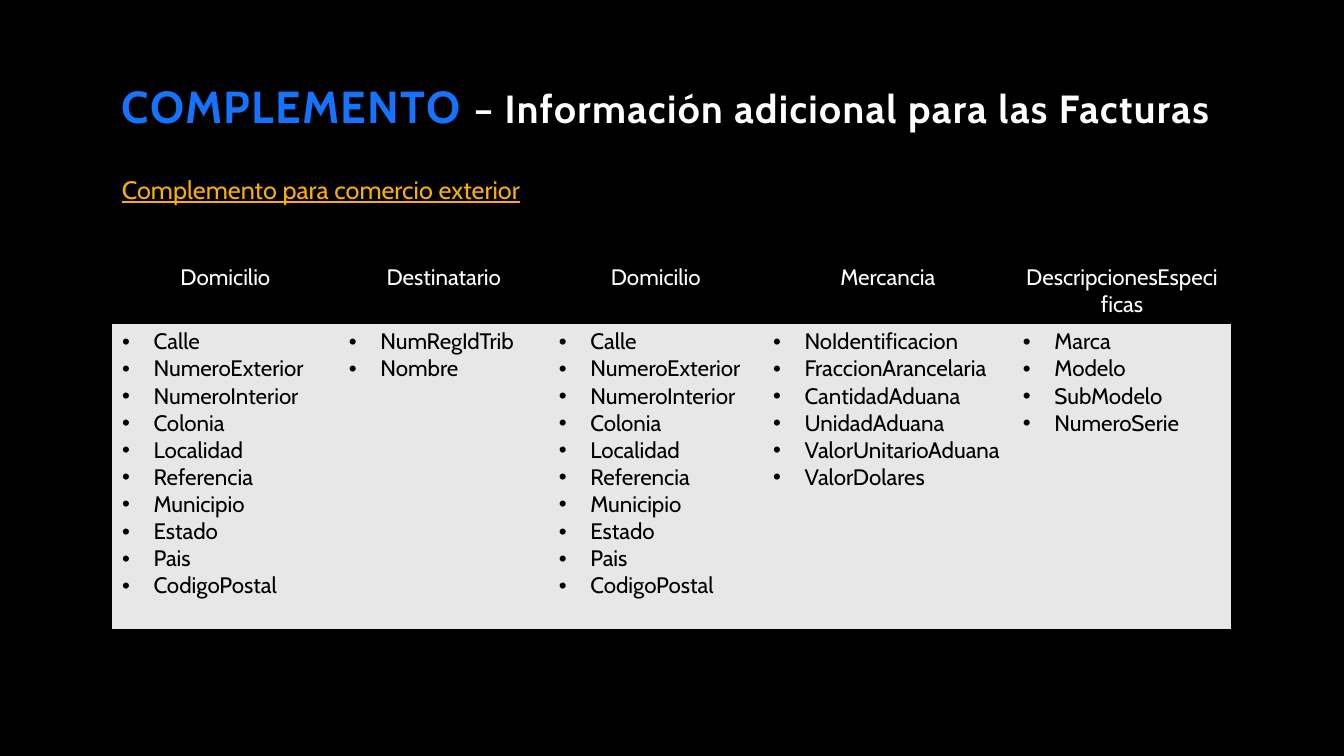
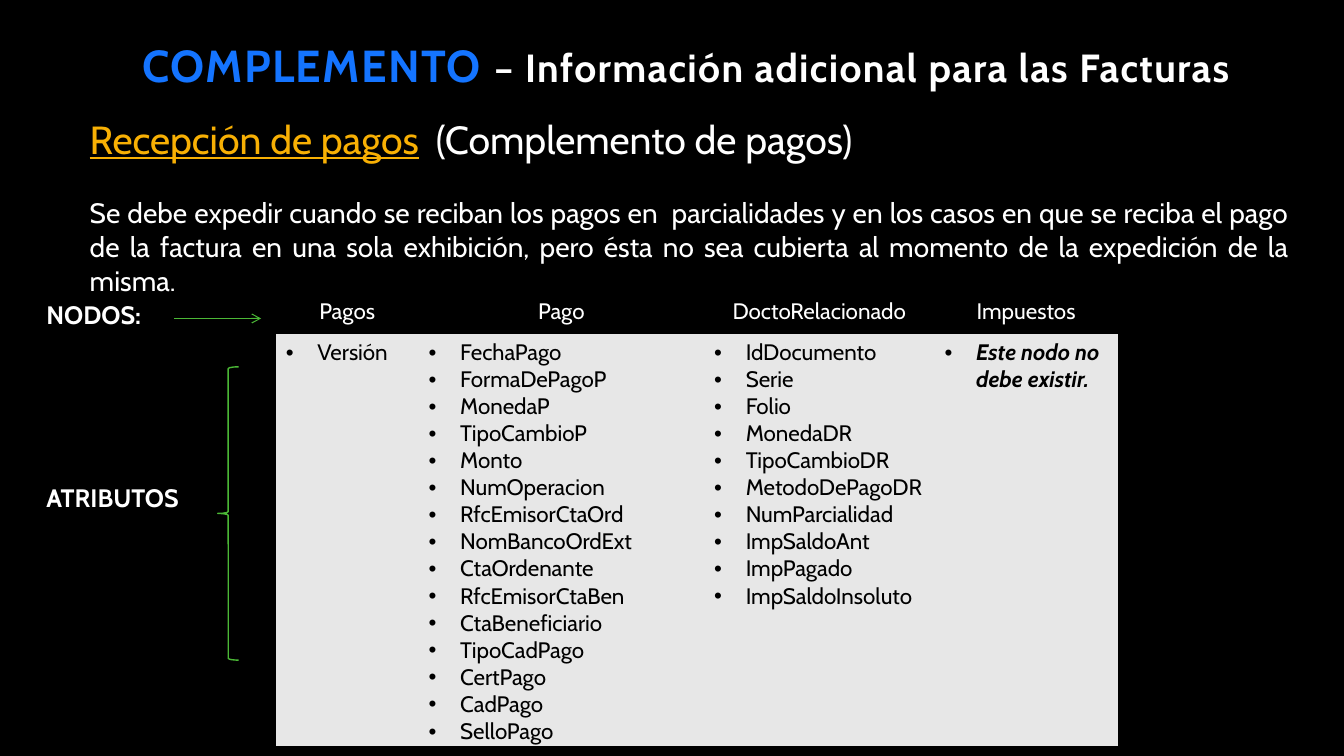
from lxml.etree import SubElement
from pptx import Presentation
from pptx.dml.color import RGBColor
from pptx.enum.shapes import MSO_CONNECTOR, MSO_SHAPE
from pptx.enum.text import MSO_ANCHOR, PP_ALIGN
from pptx.oxml.ns import qn
from pptx.util import Pt

BLACK = "000000"
WHITE = "FFFFFF"
BLUE = "1474FF"
AMBER = "F8B004"
GREEN = "4BB836"
GREY = "E7E7E7"
FONT = "Cabin"
PLAIN_TABLE = "{2D5ABB26-0587-4C30-8999-92F81FD0307C}"

ADDRESS = [
    "Calle", "NumeroExterior", "NumeroInterior", "Colonia", "Localidad",
    "Referencia", "Municipio", "Estado", "Pais", "CodigoPostal",
]
TRADE_NODES = [
    ("Domicilio", 162, ADDRESS),
    ("Destinatario", 150, ["NumRegIdTrib", "Nombre"]),
    ("Domicilio", 153, ADDRESS),
    ("Mercancia", 178.5, [
        "NoIdentificacion", "FraccionArancelaria", "CantidadAduana",
        "UnidadAduana", "ValorUnitarioAduana", "ValorDolares",
    ]),
    ("DescripcionesEspecificas", 156, ["Marca", "Modelo", "SubModelo", "NumeroSerie"]),
]
PAYMENT_NODES = [
    ("Pagos", 102, ["Versión"]),
    ("Pago", 204, [
        "FechaPago", "FormaDePagoP", "MonedaP", "TipoCambioP", "Monto",
        "NumOperacion", "RfcEmisorCtaOrd", "NomBancoOrdExt", "CtaOrdenante",
        "RfcEmisorCtaBen", "CtaBeneficiario", "TipoCadPago", "CertPago",
        "CadPago", "SelloPago",
    ]),
    ("DoctoRelacionado", 164.5, [
        "IdDocumento", "Serie", "Folio", "MonedaDR", "TipoCambioDR",
        "MetodoDePagoDR", "NumParcialidad", "ImpSaldoAnt", "ImpPagado",
        "ImpSaldoInsoluto",
    ]),
    ("Impuestos", 131, ["Este nodo no debe existir."]),
]
PAYMENT_RULE = (
    "Se debe expedir cuando se reciban los pagos en  parcialidades y en los casos "
    "en que se reciba el pago de la factura en una sola exhibición, pero ésta no sea "
    "cubierta al momento de la expedición de la misma."
)


def color(value):
    return RGBColor.from_string(value)


class Slides:
    def __init__(self):
        self.deck = Presentation()
        self.deck.slide_width = Pt(960)
        self.deck.slide_height = Pt(540)
        self.page = None

    def new_page(self):
        self.page = self.deck.slides.add_slide(self.deck.slide_layouts[6])
        self.page.background.fill.solid()
        self.page.background.fill.fore_color.rgb = color(BLACK)

    def span(self, para, text, size, fill=WHITE, bold=False, italic=False,
             underline=False, spacing=0):
        run = para.add_run()
        run.text = text
        font = run.font
        font.name, font.size = FONT, Pt(size)
        font.bold, font.italic, font.underline = bold, italic, underline
        font.color.rgb = color(fill)
        if spacing:
            font._element.set("spc", str(spacing * 100))

    def box(self, left, top, width, height, anchor=MSO_ANCHOR.TOP):
        frame = self.page.shapes.add_textbox(
            Pt(left), Pt(top), Pt(width), Pt(height)).text_frame
        frame.word_wrap = True
        frame.vertical_anchor = anchor
        return frame

    def title(self, left, top):
        para = self.box(left, top, 822, 50, MSO_ANCHOR.BOTTOM).paragraphs[0]
        para.line_spacing = 0.9
        self.span(para, "COMPLEMENTO ", 32, BLUE, bold=True, spacing=1)
        self.span(para, "– Información adicional para las Facturas", 28,
                  bold=True, spacing=1)

    def label(self, left, top, width, text, **style):
        para = self.box(left, top, width, 29).paragraphs[0]
        self.span(para, text, 18, **style)

    def bullet(self, para):
        properties = para._p.get_or_add_pPr()
        properties.set("marL", str(Pt(22.5)))
        properties.set("indent", str(-Pt(22.5)))
        SubElement(properties, qn("a:buFont"), typeface="Arial")
        SubElement(properties, qn("a:buChar"), char="•")

    def paint_cell(self, cell, fill):
        properties = cell._tc.get_or_add_tcPr()
        for side in ("a:lnT", "a:lnB"):
            line = SubElement(properties, qn(side), w=str(Pt(1)))
            solid = SubElement(line, qn("a:solidFill"))
            SubElement(solid, qn("a:srgbClr"), val=BLACK)
        cell.fill.solid()
        cell.fill.fore_color.rgb = color(fill)

    def node_table(self, left, top, heights, nodes, emphasized=()):
        width = sum(node[1] for node in nodes)
        table = self.page.shapes.add_table(
            2, len(nodes), Pt(left), Pt(top), Pt(width), Pt(sum(heights))).table
        table._tbl.tblPr.find(qn("a:tableStyleId")).text = PLAIN_TABLE
        table.horz_banding = False
        for row, height in zip(table.rows, heights):
            row.height = Pt(height)
        for index, (name, column_width, attributes) in enumerate(nodes):
            table.columns[index].width = Pt(column_width)
            header, body = table.cell(0, index), table.cell(1, index)
            self.paint_cell(header, BLACK)
            self.paint_cell(body, GREY)
            para = header.text_frame.paragraphs[0]
            para.alignment = PP_ALIGN.CENTER
            self.span(para, name, 16)
            for position, attribute in enumerate(attributes):
                frame = body.text_frame
                para = frame.add_paragraph() if position else frame.paragraphs[0]
                self.bullet(para)
                strong = name in emphasized
                self.span(para, attribute, 16, BLACK, bold=strong, italic=strong)

    def arrow(self, left, right, y):
        connector = self.page.shapes.add_connector(
            MSO_CONNECTOR.STRAIGHT, Pt(left), Pt(y), Pt(right), Pt(y))
        connector.line.color.rgb = color(GREEN)
        connector.line.width = Pt(0.75)
        SubElement(connector.line._get_or_add_ln(), qn("a:tailEnd"), type="arrow")
        SubElement(connector._element.spPr, qn("a:effectLst"))

    def brace(self, left, top, width, height):
        shape = self.page.shapes.add_shape(
            MSO_SHAPE.LEFT_BRACE, Pt(left), Pt(top), Pt(width), Pt(height))
        shape.shadow.inherit = False
        shape.fill.background()
        shape.line.color.rgb = color(GREEN)
        shape.line.width = Pt(1)


def foreign_trade(slides):
    slides.new_page()
    slides.node_table(80, 185, (46, 218.5), TRADE_NODES)
    slides.label(80, 121, 320, "Complemento para comercio exterior",
                 fill=AMBER, underline=True)
    slides.title(80, 49)


def payments(slides):
    slides.new_page()
    slides.title(94.5, 19.5)
    frame = slides.box(57, 78.5, 871, 114)
    heading = frame.paragraphs[0]
    slides.span(heading, "Recepción de pagos", 28, AMBER, underline=True)
    slides.span(heading, " ", 28, spacing=6)
    slides.span(heading, "(Complemento de pagos)", 28)
    rule = frame.add_paragraph()
    rule.alignment = PP_ALIGN.JUSTIFY
    rule.space_before = Pt(24.3)
    slides.span(rule, PAYMENT_RULE, 20)
    slides.node_table(197, 209, (29.5, 294.5), PAYMENT_NODES, ("Impuestos",))
    slides.label(26, 210, 110, "NODOS:", bold=True)
    slides.label(26, 341, 130, "ATRIBUTOS", bold=True)
    slides.arrow(124.5, 186.5, 227.5)
    slides.brace(155.5, 262, 15, 209.5)


def main():
    slides = Slides()
    foreign_trade(slides)
    payments(slides)
    slides.deck.save("out.pptx")


if __name__ == "__main__":
    main()
